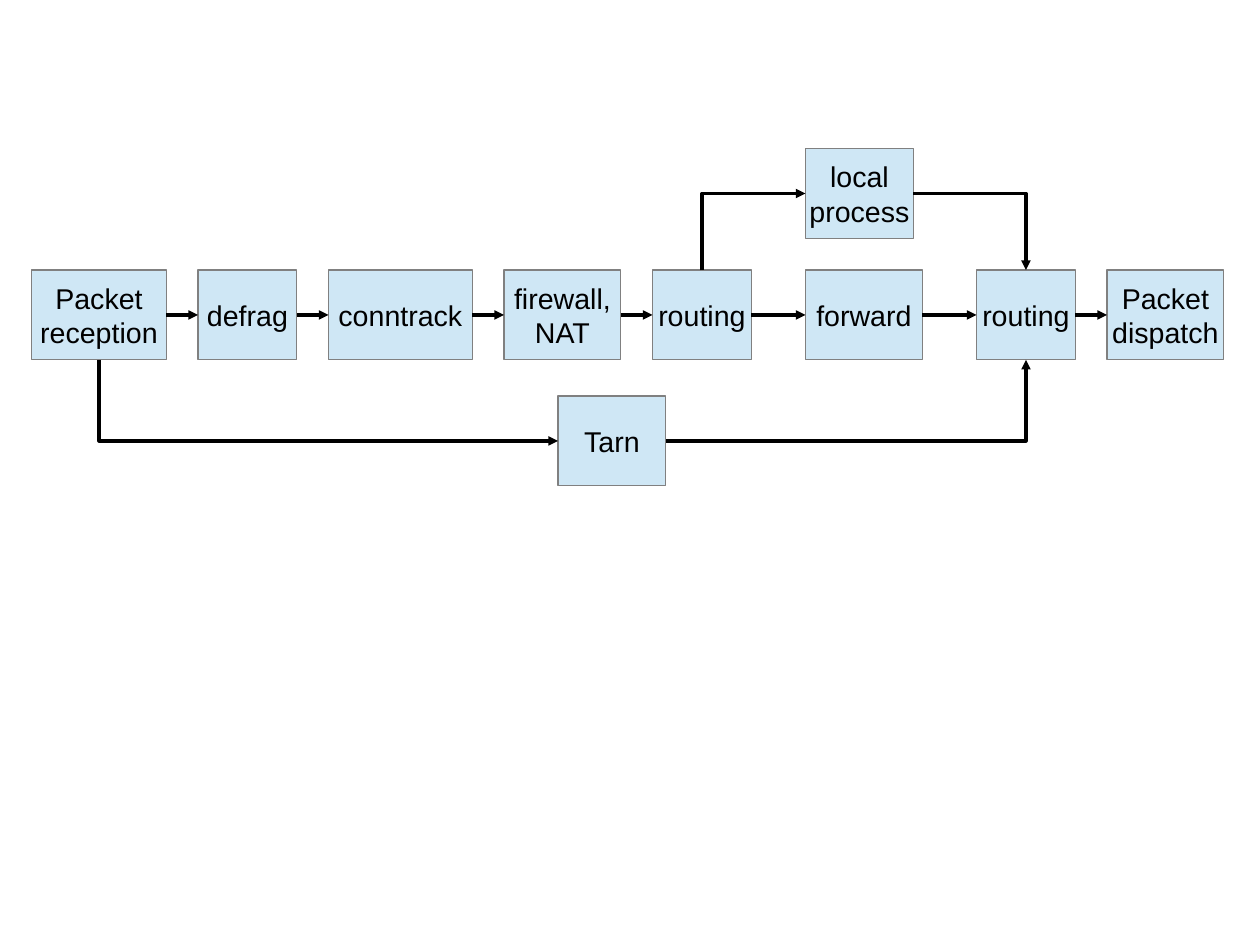
from lxml.etree import SubElement
from pptx import Presentation
from pptx.dml.color import RGBColor
from pptx.enum.shapes import MSO_CONNECTOR as Route, MSO_SHAPE as Shape
from pptx.enum.text import MSO_ANCHOR as Anchor, PP_ALIGN as Align
from pptx.oxml.ns import qn
from pptx.util import Pt

COLORS = {"box": "CFE7F5", "border": "808080", "ink": "000000"}
TOP, LEFT, BOTTOM, RIGHT = range(4)  # connection sites of a rectangle

BOX_HEIGHT = 56.69
MAIN_TOP, LOCAL_TOP, BYPASS_TOP = 170.08, 93.54, 249.45
ROW_LEFT, BYPASS_LEFT = 19.84, 351.5
SIDE_WIDTH = 68.03
# text, width, gap to the next box
MAIN_STEPS = [
    ("Packet\nreception", 85.04, 19.84),
    ("defrag", 62.36, 19.84),
    ("conntrack", 90.71, 19.84),
    ("firewall,\nNAT", 73.7, 19.84),
    ("routing", 62.36, 34.02),
    ("forward", 73.7, 34.02),
    ("routing", 62.36, 19.84),
    ("Packet\ndispatch", 73.7, 0),
]


class Diagram:
    def __init__(self, page, font="Arial", size=18):
        self.page, self.font, self.size = page, font, size

    def color(self, name):
        return RGBColor.from_string(COLORS[name])

    def box(self, text, left, top, width):
        box = self.page.shapes.add_shape(
            Shape.RECTANGLE, Pt(left), Pt(top), Pt(width), Pt(BOX_HEIGHT))
        box.shadow.inherit = False
        box.fill.solid()
        box.fill.fore_color.rgb = self.color("box")
        box.line.color.rgb = self.color("border")
        box.line.width = Pt(0)
        frame = box.text_frame
        frame.text = text
        frame.word_wrap = False
        frame.vertical_anchor = Anchor.MIDDLE
        for para in frame.paragraphs:
            para.alignment = Align.CENTER
            para.font.name, para.font.size = self.font, Pt(self.size)
            para.font.color.rgb = self.color("ink")
        return box

    def arrow(self, source, source_site, target, target_site, route=Route.STRAIGHT):
        arrow = self.page.shapes.add_connector(route, 0, 0, 0, 0)
        arrow.begin_connect(source, source_site)
        arrow.end_connect(target, target_site)
        arrow.line.color.rgb = self.color("ink")
        arrow.line.width = Pt(0)
        SubElement(arrow.line._get_or_add_ln(), qn("a:tailEnd"), type="triangle")
        SubElement(arrow._element.spPr, qn("a:effectLst"))
        return arrow

    def corner_arrow(self, source, source_site, target, target_site):
        """Draw an arrow with one right-angled bend."""
        arrow = self.arrow(source, source_site, target, target_site, Route.ELBOW)
        properties = arrow._element.spPr
        properties.find(qn("a:prstGeom")).set("prst", "bentConnector2")
        if source_site in (TOP, BOTTOM):
            # The preset starts sideways, so a vertical start needs a quarter turn.
            x1, y1, x2, y2 = arrow.begin_x, arrow.begin_y, arrow.end_x, arrow.end_y
            middle_x, middle_y = (x1 + x2) // 2, (y1 + y2) // 2
            half_width, half_height = (y1 - y2) // 2, (x2 - x1) // 2
            arrow.begin_x, arrow.end_x = middle_x - half_width, middle_x + half_width
            arrow.begin_y, arrow.end_y = middle_y - half_height, middle_y + half_height
            properties.find(qn("a:xfrm")).set("rot", str(270 * 60000))


def main():
    deck = Presentation()
    deck.slide_width, deck.slide_height = Pt(793.7), Pt(595.28)
    diagram = Diagram(deck.slides.add_slide(deck.slide_layouts[6]))

    steps, left = [], ROW_LEFT
    for text, width, gap in MAIN_STEPS:
        steps.append(diagram.box(text, left, MAIN_TOP, width))
        left += width + gap
    for source, target in zip(steps, steps[1:]):
        diagram.arrow(source, RIGHT, target, LEFT)

    reception, first_routing, forward, last_routing = (steps[i] for i in (0, 4, 5, 6))
    local = diagram.box("local\nprocess", forward.left.pt, LOCAL_TOP, SIDE_WIDTH)
    bypass = diagram.box("Tarn", BYPASS_LEFT, BYPASS_TOP, SIDE_WIDTH)
    diagram.corner_arrow(first_routing, TOP, local, LEFT)
    diagram.corner_arrow(local, RIGHT, last_routing, TOP)
    diagram.corner_arrow(reception, BOTTOM, bypass, LEFT)
    diagram.corner_arrow(bypass, RIGHT, last_routing, BOTTOM)

    deck.save("out.pptx")


if __name__ == "__main__":
    main()
